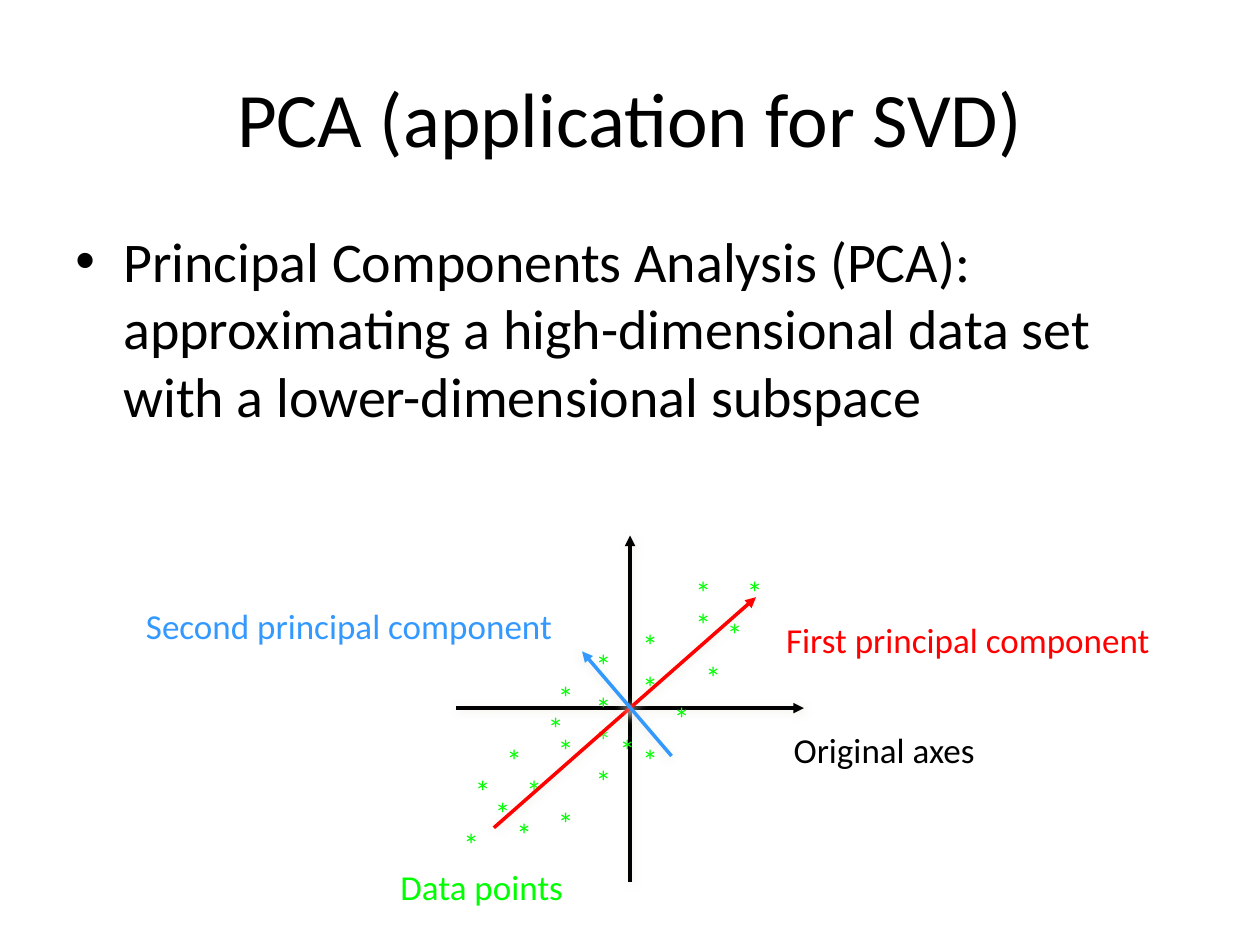
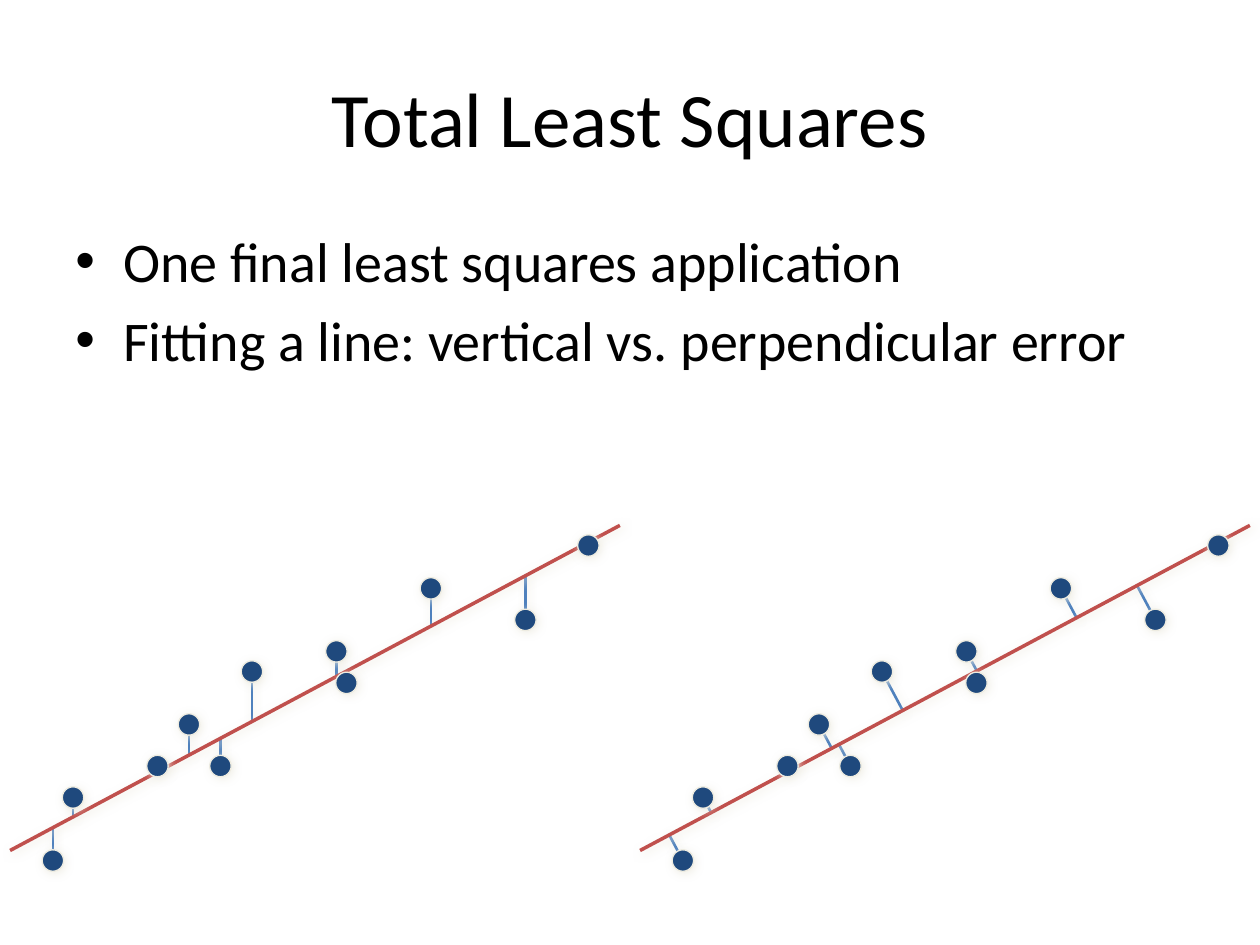
from lxml import etree
from pptx import Presentation
from pptx.dml.color import RGBColor
from pptx.enum.shapes import MSO_CONNECTOR, MSO_SHAPE
from pptx.enum.text import MSO_ANCHOR, MSO_AUTO_SIZE, PP_ALIGN
from pptx.oxml.ns import qn
from pptx.util import Inches, Pt

STRAIGHT, OVAL = MSO_CONNECTOR.STRAIGHT, MSO_SHAPE.OVAL
TOP, MIDDLE = MSO_ANCHOR.TOP, MSO_ANCHOR.MIDDLE
LEFT, CENTER = PP_ALIGN.LEFT, PP_ALIGN.CENTER
FIT_TEXT = MSO_AUTO_SIZE.SHAPE_TO_FIT_TEXT

COLOURS = {
    "text": "000000", "data": "00FF00", "first": "FF0000", "second": "3399FF",
    "error": "4F81BD", "fit": "C0504D", "dot": "1F497D", "pale": "EEECE1",
}
FONT = "Calibri"
TITLE = {"size": Pt(44), "name": FONT}
BODY = {"size": Pt(32), "name": FONT}
LABEL = {"size": Pt(20), "name": FONT}
STAR = {"size": Pt(18), "name": FONT}

STARS = [
    (4, 6.42), (3.58, 6.5), (5.25, 5.5), (5, 5.25), (5, 4.92), (5.5, 5.17),
    (5.42, 4.75), (5.67, 4.83), (5.83, 4.5), (4.33, 5.33), (4.63, 5.67),
    (4.63, 5.42), (4.82, 5.75), (5.42, 4.5), (4.63, 5.08), (4.33, 6.33),
    (3.92, 5.83), (4.08, 6.08), (4.63, 6), (4.33, 5.75), (4.25, 5.58),
    (5, 5.83), (3.83, 6.25), (3.67, 6.08),
]

# Centres of the dots, and the ends of the fitted line, in the left plot
OFF_LINE = [(0.42, 6.83), (0.58, 6.33), (1.5, 5.75), (1.75, 6.08),
            (2, 5.33), (2.67, 5.17), (3.42, 4.67), (4.17, 4.92)]
ON_LINE = [(1.25, 6.08), (2.75, 5.42), (4.67, 4.33)]
FIT_START, FIT_END = (0.08, 6.75), (4.92, 4.17)
SLOPE = (FIT_END[1] - FIT_START[1]) / (FIT_END[0] - FIT_START[0])
DOT_SIZE = 0.17
PLOT_SHIFT = 5


def colour(name):
    return RGBColor.from_string(COLOURS[name])


def add_shadow(shape, distance=1.4, angle=45):
    effects = etree.SubElement(shape._element.spPr, qn("a:effectLst"))
    shadow = etree.SubElement(effects, qn("a:outerShdw"), blurRad=str(Pt(5)),
                              dist=str(Pt(distance)), dir=str(angle * 60000))
    tint = etree.SubElement(shadow, qn("a:srgbClr"), val=COLOURS["pale"])
    etree.SubElement(tint, qn("a:alpha"), val="75000")


def add_line(page, start, end, line_colour, width=2, arrow=False, **shadow):
    line = page.shapes.add_connector(
        STRAIGHT, *[Inches(value) for value in (*start, *end)])
    line.line.color.rgb = colour(line_colour)
    line.line.width = Pt(width)
    if arrow:
        etree.SubElement(line.line._ln, qn("a:tailEnd"), type="triangle")
    add_shadow(line, **shadow)


def add_text(page, at, lines, style, text_colour="text", align=LEFT, anchor=TOP):
    box = page.shapes.add_textbox(*[Inches(value) for value in at])
    frame = box.text_frame
    frame.word_wrap = True
    frame.vertical_anchor = anchor
    for index, line in enumerate(lines):
        para = frame.paragraphs[0] if index == 0 else frame.add_paragraph()
        para.alignment = align
        para.text = line
        for span in para.runs:
            for key, value in style.items():
                setattr(span.font, key, value)
            span.font.color.rgb = colour(text_colour)
    return frame


def add_label(page, at, text, text_colour, style=LABEL):
    frame = add_text(page, at, [text], style, text_colour)
    frame.word_wrap = False
    frame.auto_size = FIT_TEXT


def add_bullets(page, lines):
    frame = add_text(page, (0.5, 1.75, 9, 4.95), lines, BODY)
    for para in frame.paragraphs:
        para.space_before = Pt(6.4)
        props = para._p.get_or_add_pPr()
        props.set("marL", str(Inches(0.38)))
        props.set("indent", str(Inches(-0.38)))
        etree.SubElement(props, qn("a:buFont"), typeface="Arial")
        etree.SubElement(props, qn("a:buChar"), char="•")


def add_page(deck):
    return deck.slides.add_slide(deck.slide_layouts[6])


def add_heading(page, title, bullets):
    add_text(page, (0.5, 0.3, 9, 1.25), [title], TITLE, align=CENTER, anchor=MIDDLE)
    add_bullets(page, bullets)


def add_dot(page, x, y):
    corner = [Inches(value - DOT_SIZE / 2) for value in (x, y)]
    dot = page.shapes.add_shape(OVAL, *corner, Inches(DOT_SIZE), Inches(DOT_SIZE))
    dot.fill.solid()
    dot.fill.fore_color.rgb = colour("dot")
    dot.line.color.rgb = colour("pale")
    dot.line.width = Pt(0.75)
    add_shadow(dot)


def vertical_foot(x, y):
    return x, FIT_START[1] + SLOPE * (x - FIT_START[0])


def perpendicular_foot(x, y):
    step = (y - vertical_foot(x, y)[1]) / (1 + SLOPE ** 2)
    return x + SLOPE * step, y - step


def add_errors(page, shift, foot):
    for x, y in OFF_LINE:
        foot_x, foot_y = foot(x, y)
        add_line(page, (x + shift, y), (foot_x + shift, foot_y), "error", 1.5)


def add_fit(page, shift):
    start, end = [(x + shift, y) for x, y in (FIT_START, FIT_END)]
    add_line(page, start, end, "fit")
    for x, y in OFF_LINE + ON_LINE:
        add_dot(page, x + shift, y)


def build_pca(deck):
    page = add_page(deck)
    add_heading(page, "PCA (application for SVD)", [
        "Principal Components Analysis (PCA): approximating a high-dimensional "
        "data set\vwith a lower-dimensional subspace"])

    # Axes
    add_line(page, (5, 7), (5, 4.25), "text", arrow=True)
    add_line(page, (3.62, 5.62), (6.38, 5.62), "text", arrow=True)
    add_label(page, (6.2, 5.73, 1.72, 0.43), "Original axes", "text")

    # Data points
    for x, y in STARS:
        add_label(page, (x, y, 0.37, 0.5), "*", "data", STAR)
    add_label(page, (3.08, 6.82, 1.54, 0.43), "Data points", "data")

    # Principal components
    add_line(page, (3.92, 6.57), (6, 4.74), "first", arrow=True, distance=1, angle=0)
    add_label(page, (6.14, 4.86, 3.19, 0.43), "First principal component", "first")
    add_line(page, (5.33, 6), (4.62, 5.17), "second", arrow=True, angle=135)
    add_label(page, (1.06, 4.75, 3.58, 0.43), "Second principal component", "second")


def build_least_squares(deck):
    page = add_page(deck)
    # Errors lie beneath the text and the fitted lines
    add_errors(page, PLOT_SHIFT, perpendicular_foot)
    add_errors(page, 0, vertical_foot)
    add_heading(page, "Total Least Squares", [
        "One final least squares application",
        "Fitting a line: vertical vs. perpendicular error"])
    for shift in (0, PLOT_SHIFT):
        add_fit(page, shift)


def main():
    deck = Presentation()
    deck.slide_width, deck.slide_height = Inches(10), Inches(7.5)
    build_pca(deck)
    build_least_squares(deck)
    deck.save("out.pptx")


if __name__ == "__main__":
    main()
